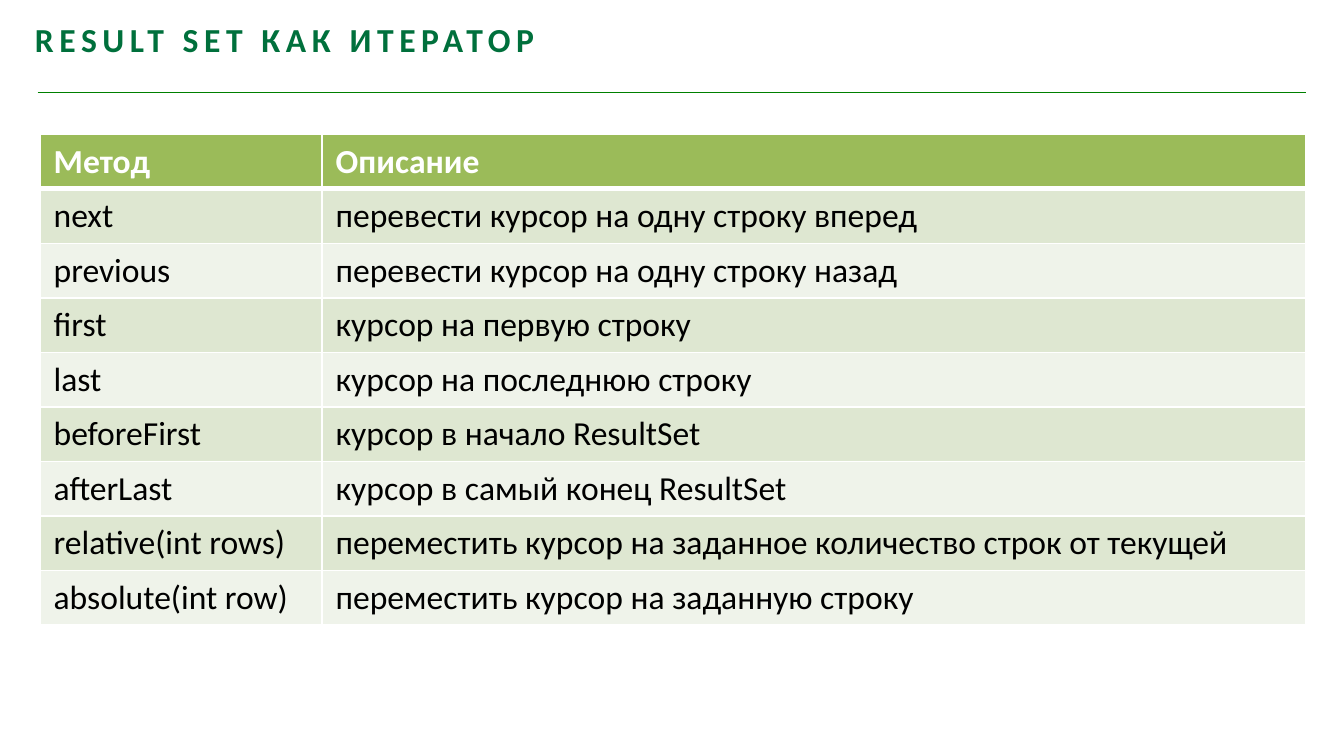
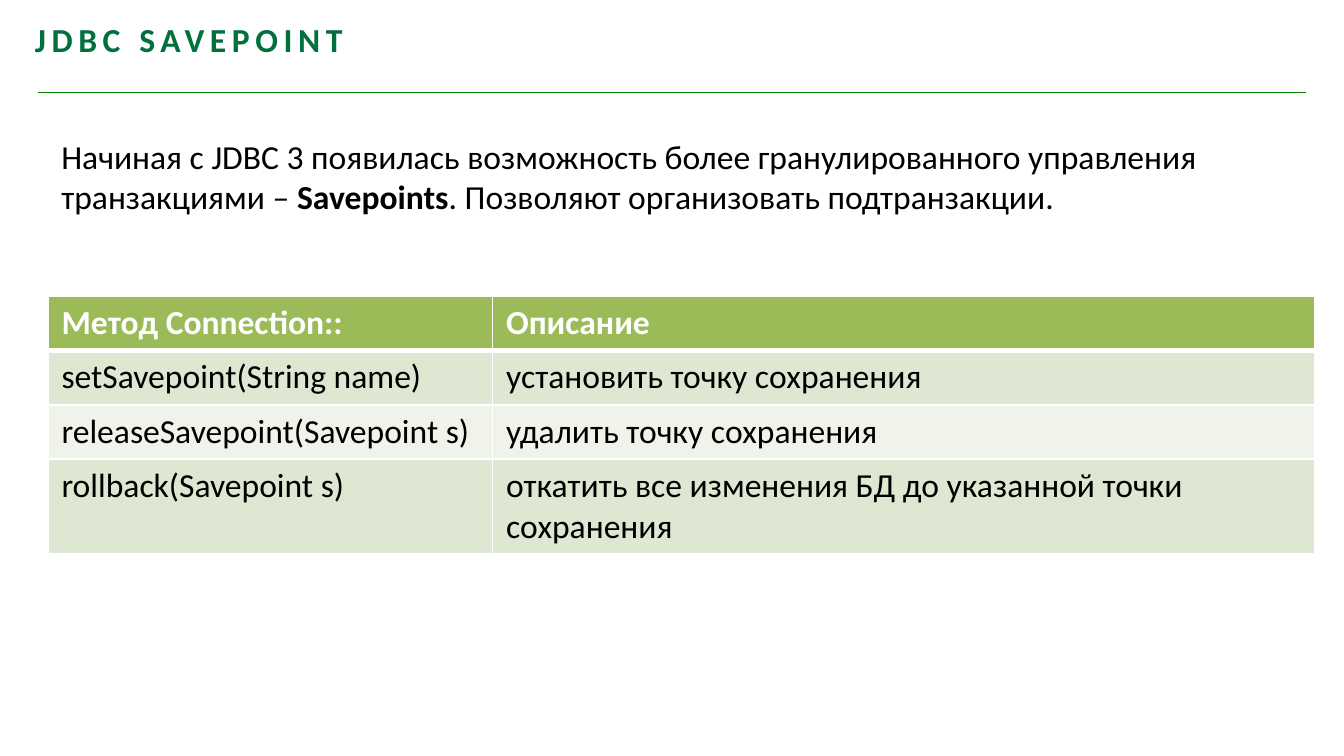
from lxml.etree import SubElement
from pptx import Presentation
from pptx.dml.color import RGBColor
from pptx.enum.shapes import MSO_CONNECTOR
from pptx.enum.text import MSO_AUTO_SIZE
from pptx.oxml.ns import qn
from pptx.util import Cm, Pt

GREEN = "00703C"
RULE = "008000"
HEADER = "9BBB59"
BANDS = ("DEE7D1", "EFF3EA")
WHITE = "FFFFFF"
BLACK = "000000"


def rgb(value):
    return RGBColor.from_string(value)


class Deck:
    """Holds the shared style and the slide being built."""

    font = "Calibri"
    size = Pt(18)
    row_height = Cm(1.03)

    def __init__(self):
        self.prs = Presentation()
        self.prs.slide_width, self.prs.slide_height = Cm(25.4), Cm(14.29)
        self.slide = None

    def add_slide(self, title):
        self.slide = self.prs.slides.add_slide(self.prs.slide_layouts[6])
        self.add_rule()
        self.add_title(title)

    def add_rule(self):
        y = Cm(1.75)
        rule = self.slide.shapes.add_connector(
            MSO_CONNECTOR.STRAIGHT, Cm(0.71), y, Cm(24.69), y)
        rule.line.color.rgb = rgb(RULE)
        rule.line.width = Pt(0.75)
        SubElement(rule.line._get_or_add_ln().getparent(), qn("a:effectLst"))

    def add_title(self, title):
        frame = self.add_text([(title, True)], 0.66, 0.23, 18.21, 0.89, GREEN)
        frame.margin_left = frame.margin_bottom = 0
        paragraph = frame.paragraphs[0]
        paragraph.space_before = Pt(3.6)
        paragraph.runs[0].font._element.set("spc", "300")

    def add_text(self, parts, left, top, width, height, color=BLACK):
        """Add a one-paragraph box from (text, bold) parts; lengths in cm."""
        box = self.slide.shapes.add_textbox(
            Cm(left), Cm(top), Cm(width), Cm(height))
        frame = box.text_frame
        frame.word_wrap = True
        frame.auto_size = MSO_AUTO_SIZE.SHAPE_TO_FIT_TEXT
        for text, bold in parts:
            run = frame.paragraphs[0].add_run()
            run.text = text
            self.style_run(run, color, bold)
        return frame

    def style_run(self, run, color, bold):
        run.font.name = self.font
        run.font.size = self.size
        run.font.bold = bold
        run.font.color.rgb = rgb(color)

    def add_table(self, rows, left, top, widths):
        """Add a banded table with a header row; lengths in cm."""
        table = self.slide.shapes.add_table(
            len(rows), len(widths), Cm(left), Cm(top),
            Cm(sum(widths)), self.row_height * len(rows)).table
        for column, width in zip(table.columns, widths):
            column.width = Cm(width)
        for r, texts in enumerate(rows):
            table.rows[r].height = self.row_height
            for c, text in enumerate(texts):
                self.fill_cell(table.cell(r, c), text, r)

    def fill_cell(self, cell, text, row):
        header = row == 0
        self.add_borders(cell, top=3 if row == 1 else 1, bottom=3 if header else 1)
        cell.fill.solid()
        cell.fill.fore_color.rgb = rgb(HEADER if header else BANDS[(row - 1) % 2])
        cell.text_frame.text = text
        run = cell.text_frame.paragraphs[0].runs[0]
        self.style_run(run, WHITE if header else BLACK, header)

    def add_borders(self, cell, top, bottom):
        """Draw white cell borders; widths in points."""
        properties = cell._tc.get_or_add_tcPr()
        for side, width in (("L", 1), ("R", 1), ("T", top), ("B", bottom)):
            line = SubElement(properties, qn(f"a:ln{side}"), w=str(Pt(width)))
            fill = SubElement(line, qn("a:solidFill"))
            SubElement(fill, qn("a:srgbClr"), val=WHITE)


def main():
    deck = Deck()

    deck.add_slide("RESULT SET КАК ИТЕРАТОР")
    cursor_methods = [
        ("Метод", "Описание"),
        ("next", "перевести курсор на одну строку вперед"),
        ("previous", "перевести курсор на одну строку назад"),
        ("first", "курсор на первую строку"),
        ("last", "курсор на последнюю строку"),
        ("beforeFirst", "курсор в начало ResultSet"),
        ("afterLast", "курсор в самый конец ResultSet"),
        ("relative(int rows)",
         "переместить курсор на заданное количество строк от текущей"),
        ("absolute(int row)", "переместить курсор на заданную строку"),
    ]
    deck.add_table(cursor_methods, 0.76, 2.54, (5.33, 18.59))

    deck.add_slide("JDBC SAVEPOINT")
    intro = [
        ("Начиная с JDBC 3 появилась возможность более гранулированного "
         "управления транзакциями – ", False),
        ("Savepoints", True),
        (". Позволяют организовать подтранзакции.", False),
    ]
    deck.add_text(intro, 0.91, 2.44, 24, 1.8)
    savepoint_methods = [
        ("Метод Connection::", "Описание"),
        ("setSavepoint(String name)", "установить точку сохранения"),
        ("releaseSavepoint(Savepoint s)", "удалить точку сохранения"),
        ("rollback(Savepoint s)",
         "откатить все изменения БД до указанной точки сохранения"),
    ]
    deck.add_table(savepoint_methods, 0.91, 5.59, (8.4, 15.54))

    deck.prs.save("out.pptx")


if __name__ == "__main__":
    main()
